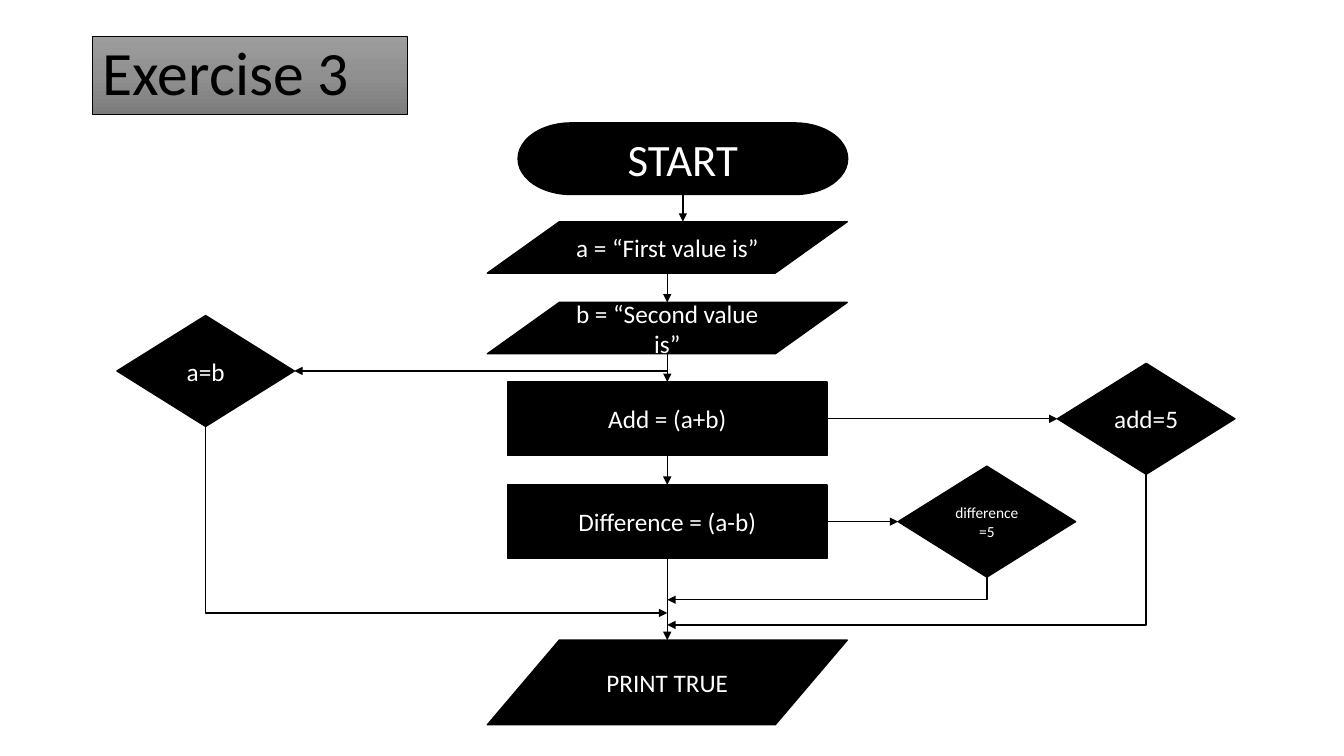
from copy import deepcopy
from dataclasses import dataclass
from itertools import pairwise

from lxml.etree import SubElement
from pptx import Presentation
from pptx.dml.color import RGBColor
from pptx.enum.shapes import MSO_CONNECTOR, MSO_SHAPE
from pptx.enum.text import MSO_ANCHOR, PP_ALIGN
from pptx.oxml.ns import qn
from pptx.util import Inches, Pt

BLACK = RGBColor(0x00, 0x00, 0x00)
WHITE = RGBColor(0xFF, 0xFF, 0xFF)
TITLE_GRAYS = (
    (0.0, RGBColor(0x9D, 0x9D, 0x9D)),
    (0.5, RGBColor(0x90, 0x90, 0x90)),
    (1.0, RGBColor(0x7C, 0x7C, 0x7C)),
)
FONT = "Calibri"

presentation = Presentation()
presentation.slide_width, presentation.slide_height = Inches(13.33), Inches(7.5)
slide = presentation.slides.add_slide(presentation.slide_layouts[5])


# Lengths are percentages of the slide's width and height
def across(share: float) -> int:
    return round(presentation.slide_width * share / 100)


def down(share: float) -> int:
    return round(presentation.slide_height * share / 100)


@dataclass(frozen=True)
class Step:
    text: str
    kind: MSO_SHAPE
    center_x: float
    center_y: float
    width: float
    height: float
    size: int = 18

    @property
    def left(self) -> float:
        return self.center_x - self.width / 2

    @property
    def right(self) -> float:
        return self.center_x + self.width / 2

    @property
    def top(self) -> float:
        return self.center_y - self.height / 2

    @property
    def bottom(self) -> float:
        return self.center_y + self.height / 2


def format_text(shape, size: int, color: RGBColor, alignment: PP_ALIGN) -> None:
    shape.text_frame.vertical_anchor = MSO_ANCHOR.MIDDLE
    for paragraph in shape.text_frame.paragraphs:
        paragraph.alignment = alignment
        for run in paragraph.runs:
            run.font.name, run.font.size = FONT, Pt(size)
            run.font.color.rgb = color


def draw_step(step: Step) -> None:
    shape = slide.shapes.add_shape(
        step.kind, across(step.left), down(step.top), across(step.width), down(step.height)
    )
    shape.shadow.inherit = False
    shape.fill.solid()
    shape.fill.fore_color.rgb = BLACK
    shape.line.color.rgb, shape.line.width = BLACK, Pt(1)
    shape.text_frame.text = step.text
    format_text(shape, step.size, WHITE, PP_ALIGN.CENTER)


def style_arrow(connector) -> None:
    connector.line.color.rgb, connector.line.width = BLACK, Pt(1)
    properties = connector.element.spPr
    SubElement(properties.find(qn("a:ln")), qn("a:tailEnd"), type="triangle")
    SubElement(properties, qn("a:effectLst"))


def draw_arrow(start_x: float, start_y: float, end_x: float, end_y: float) -> None:
    style_arrow(slide.shapes.add_connector(
        MSO_CONNECTOR.STRAIGHT, across(start_x), down(start_y), across(end_x), down(end_y)
    ))


def draw_return(step: Step, merge_x: float, merge_y: float) -> None:
    """Go down from a decision, then sideways into the main flow."""
    start_x, start_y = across(step.center_x), down(step.bottom)
    end_x, end_y = across(merge_x), down(merge_y)
    middle_x, middle_y = (start_x + end_x) // 2, (start_y + end_y) // 2
    half_drop, half_run = (end_y - start_y) // 2, abs(end_x - start_x) // 2
    heads_right = end_x > start_x
    # The one-bend connector runs sideways first, so it is turned a quarter
    side = half_drop if heads_right else -half_drop
    connector = slide.shapes.add_connector(
        MSO_CONNECTOR.ELBOW,
        middle_x + side, middle_y - half_run, middle_x - side, middle_y + half_run,
    )
    properties = connector.element.spPr
    properties.find(qn("a:prstGeom")).set("prst", "bentConnector2")
    quarter_turns = 3 if heads_right else 1
    properties.find(qn("a:xfrm")).set("rot", str(quarter_turns * 90 * 60000))
    style_arrow(connector)


# Title
title = slide.shapes.title
title.left, title.top = across(6.9), down(4.8)
title.width, title.height = across(23.4), down(10.4)
title.text_frame.text = "Exercise 3"
format_text(title, 44, BLACK, PP_ALIGN.LEFT)
title.text_frame.paragraphs[0].line_spacing = 0.9
title.line.color.rgb, title.line.width = BLACK, Pt(0.5)
title.fill.gradient()
title.fill.gradient_angle = 270
stop_list = title.element.spPr.find(qn("a:gradFill")).find(qn("a:gsLst"))
stop_list.insert(1, deepcopy(stop_list[0]))
for stop, (position, gray) in zip(title.fill.gradient_stops, TITLE_GRAYS):
    stop.position, stop.color.rgb = position, gray

# Steps of the main flow and the decisions beside it
AXIS = 49.65
ADD_ROW, DIFFERENCE_ROW = 55.4, 69.0
DATA, PROCESS, DECISION = (
    MSO_SHAPE.FLOWCHART_DATA, MSO_SHAPE.FLOWCHART_PROCESS, MSO_SHAPE.FLOWCHART_DECISION
)
PROCESS_SIZE = (23.78, 9.73)
DECISION_SIZE = (13.2, 14.67)

start = Step("START", MSO_SHAPE.FLOWCHART_TERMINATOR, 50.81, 21.0, 24.53, 9.47, 32)
first_value = Step("a = “First value is”", DATA, AXIS, 32.73, 26.78, 6.8)
second_value = Step("b = “Second value is”", DATA, AXIS, 43.4, 26.78, 6.8)
add = Step("Add = (a+b)", PROCESS, AXIS, ADD_ROW, *PROCESS_SIZE)
difference = Step("Difference = (a-b)", PROCESS, AXIS, DIFFERENCE_ROW, *PROCESS_SIZE)
print_true = Step("PRINT TRUE", DATA, AXIS, 90.27, 26.78, 11.2)
is_equal = Step("a=b", DECISION, 15.3, 49.07, *DECISION_SIZE)
add_is_five = Step("add=5", DECISION, 85.28, ADD_ROW, *DECISION_SIZE)
difference_is_five = Step(
    "difference =5", DECISION, 73.43, DIFFERENCE_ROW, *DECISION_SIZE, size=11
)

main_flow = (start, first_value, second_value, add, difference, print_true)
for step in (*main_flow, is_equal, add_is_five, difference_is_five):
    draw_step(step)

# Arrows down the main flow
for upper, lower in pairwise(main_flow):
    draw_arrow(upper.center_x, upper.bottom, upper.center_x, lower.top)

# Arrows out to the decisions
draw_arrow(AXIS, is_equal.center_y, is_equal.right, is_equal.center_y)
for process, decision in ((add, add_is_five), (difference, difference_is_five)):
    draw_arrow(process.right, process.center_y, decision.left, decision.center_y)

# Arrows back into the main flow
for decision, merge_row in (
    (difference_is_five, 79.33), (is_equal, 81.07), (add_is_five, 82.67)
):
    draw_return(decision, AXIS, merge_row)

presentation.save("out.pptx")
